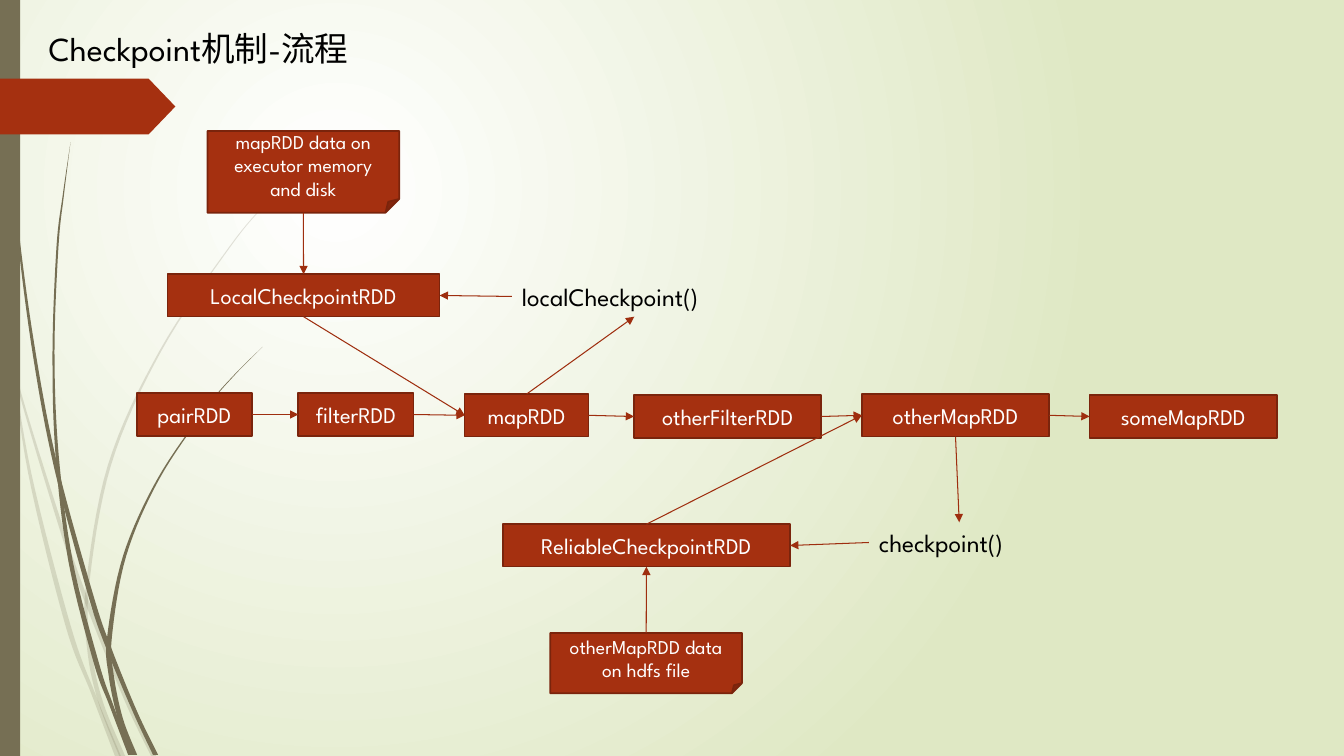
from dataclasses import dataclass

from lxml.etree import SubElement
from pptx import Presentation
from pptx.dml.color import RGBColor
from pptx.enum.shapes import MSO_CONNECTOR, MSO_SHAPE
from pptx.enum.text import MSO_ANCHOR, MSO_AUTO_SIZE, PP_ALIGN
from pptx.oxml.ns import qn
from pptx.util import Cm, Pt


@dataclass(frozen=True)
class Theme:
    font: str = "League Spartan"
    red: str = "A53010"
    edge: str = "7A240C"
    arrow: str = "9E2E0F"
    olive: str = "766F54"
    pale: str = "DFE8C4"
    white: str = "FFFFFF"
    black: str = "000000"
    title: int = 24
    label: int = 18
    box: int = 16
    note: int = 14


THEME = Theme()
TOP, LEFT, BOTTOM, RIGHT = range(4)
BOX_H = 1.07

# Each stem is a run of (x, y, width) points from tip to root, in cm.
FAINT = [
    [(0, 7.3, 0.08), (0.4, 9.5, 0.05), (1.52, 13.23, 0.1), (2.15, 15.06, 0.11),
     (3.17, 17.6, 0.11), (3.87, 19.05, 0.13)],
    [(0.28, 8.89, 0), (0.75, 11.93, 0.08), (1.71, 15.75, 0.13),
     (2.35, 17.48, 0.1), (2.97, 19.05, 0.15)],
    [(7.92, 3.9, 0), (6.81, 5.02, 0.02), (5.8, 6.21, 0.03), (4.04, 8.85, 0.05),
     (2.76, 11.72, 0.08), (2.2, 14.83, 0.08), (2.26, 16.41, 0.11),
     (2.54, 17.7, 0.12), (3.08, 19.05, 0.15)],
]
SOLID = [
    [(0.09, 0, 0.02), (0.19, 2.79, 0.03), (0.46, 5.92, 0.05), (0.88, 9.02, 0.08),
     (1.42, 11.81, 0.1), (2.29, 15.01, 0.13), (2.74, 16.33, 0.13),
     (3.4, 17.93, 0.11), (3.92, 19.02, 0.13)],
    [(1.78, 3.58, 0), (1.6, 4.9, 0.03), (1.45, 6.22, 0.05), (1.35, 8.86, 0.05),
     (1.44, 11.46, 0.08), (1.78, 14.14, 0.11), (2.43, 16.71, 0.13),
     (2.81, 17.78, 0.1), (3.28, 19.02, 0.1)],
    [(6.62, 8.74, 0), (5.87, 9.49, 0.02), (5.19, 10.3, 0.03), (3.99, 12.07, 0.05),
     (3.14, 14.01, 0.08), (2.76, 16.05, 0.12), (2.8, 17, 0.13),
     (3.03, 18.1, 0.13), (3.38, 19.02, 0.15)],
]

# name: left, top, width
BOXES = {
    "pairRDD": (3.45, 9.91, 2.9),
    "filterRDD": (7.52, 9.91, 2.9),
    "mapRDD": (11.71, 9.93, 3.12),
    "otherFilterRDD": (15.98, 9.96, 4.72),
    "otherMapRDD": (21.72, 9.93, 4.72),
    "someMapRDD": (27.46, 9.96, 4.72),
    "LocalCheckpointRDD": (4.22, 6.91, 6.86),
    "ReliableCheckpointRDD": (12.67, 13.21, 7.24),
}
NOTES = {
    "mapRDD data on executor memory and disk": (5.23, 3.3, 4.83, 2.06),
    "otherMapRDD data on hdfs file": (13.87, 15.95, 4.83, 1.52),
}
LABELS = {
    "localCheckpoint()": (12.9, 6.96, 6.17, 1.02),
    "checkpoint()": (21.9, 13.16, 4.55, 1.02),
}
CHAIN = list(BOXES)[:6]
LINKS = [(a, RIGHT, b, LEFT) for a, b in zip(CHAIN, CHAIN[1:])] + [
    ("mapRDD", TOP, "localCheckpoint()", BOTTOM),
    ("localCheckpoint()", LEFT, "LocalCheckpointRDD", RIGHT),
    ("LocalCheckpointRDD", BOTTOM, "mapRDD", LEFT),
    ("otherMapRDD", BOTTOM, "checkpoint()", TOP),
    ("checkpoint()", LEFT, "ReliableCheckpointRDD", RIGHT),
    ("ReliableCheckpointRDD", TOP, "otherMapRDD", LEFT),
    ("mapRDD data on executor memory and disk", BOTTOM, "LocalCheckpointRDD", TOP),
    ("otherMapRDD data on hdfs file", TOP, "ReliableCheckpointRDD", BOTTOM),
]


def color(code):
    return RGBColor.from_string(code)


def paint(shape, fill, line=None):
    shape.shadow.inherit = False
    shape.fill.solid()
    shape.fill.fore_color.rgb = color(fill)
    if line:
        shape.line.color.rgb = color(line)
        shape.line.width = Pt(1.25)
    else:
        shape.line.fill.background()


def write(frame, text, size, ink, align=PP_ALIGN.LEFT):
    para = frame.paragraphs[0]
    para.alignment = align
    run = para.add_run()
    run.text = text
    run.font.name = THEME.font
    run.font.size = Pt(size)
    run.font.color.rgb = color(ink)


def write_line(frame, text, size):
    """Write black text that stays on one line."""
    frame.word_wrap = False
    frame.auto_size = MSO_AUTO_SIZE.SHAPE_TO_FIT_TEXT
    frame.vertical_anchor = MSO_ANCHOR.TOP
    write(frame, text, size, THEME.black)


def add_block(slide, kind, place, line=None):
    shape = slide.shapes.add_shape(kind, *map(Cm, place))
    paint(shape, THEME.red, line)
    return shape


def add_box(slide, kind, place, text, size):
    shape = add_block(slide, kind, place, THEME.edge)
    frame = shape.text_frame
    frame.word_wrap = True
    frame.vertical_anchor = MSO_ANCHOR.MIDDLE
    write(frame, text, size, THEME.white, PP_ALIGN.CENTER)
    return shape


def add_label(slide, place, text):
    label = slide.shapes.add_textbox(*map(Cm, place))
    write_line(label.text_frame, text, THEME.label)
    return label


def add_arrow(slide, start, exit_side, end, entry_side):
    arrow = slide.shapes.add_connector(MSO_CONNECTOR.STRAIGHT, 0, 0, 0, 0)
    arrow.begin_connect(start, exit_side)
    arrow.end_connect(end, entry_side)
    arrow.line.color.rgb = color(THEME.arrow)
    arrow.line.width = Pt(0.75)
    props = arrow.element.spPr
    SubElement(props.find(qn("a:ln")), qn("a:tailEnd"), type="triangle")
    SubElement(props, qn("a:effectLst"))


def curve(knots, steps=8):
    """Return points on a Catmull-Rom curve through the knots."""
    ends = [knots[0], *knots, knots[-1]]
    points = []
    for group in zip(ends, ends[1:], ends[2:], ends[3:]):
        for step in range(steps):
            t = step / steps
            points.append([
                b + t * ((c - a) + t * ((2 * a - 5 * b + 4 * c - d)
                                        + t * (3 * b - a - 3 * c + d))) / 2
                for a, b, c, d in zip(*group)])
    return points + [knots[-1]]


def add_stem(slide, knots, alpha=None):
    points = curve(knots)
    edge = [(Cm(x - w / 2), Cm(y)) for x, y, w in points]
    edge += [(Cm(x + w / 2), Cm(y)) for x, y, w in reversed(points)]
    pen = slide.shapes.build_freeform(*edge[0])
    pen.add_line_segments(edge[1:], close=True)
    stem = pen.convert_to_shape()
    paint(stem, THEME.olive)
    if alpha:
        tone = stem.element.spPr.find(qn("a:solidFill"))[0]
        SubElement(tone, qn("a:alpha"), val=str(alpha * 1000))


def set_back(slide):
    """Fill the background with a round glow, upper left."""
    fill = slide.background.fill
    fill.gradient()
    for stop, code in zip(fill.gradient_stops, (THEME.white, THEME.pale)):
        stop.color.rgb = color(code)
    grad = slide.element.find(".//" + qn("a:gradFill"))
    grad.remove(grad.find(qn("a:lin")))
    glow = SubElement(grad, qn("a:path"), path="circle")
    SubElement(glow, qn("a:fillToRect"), l="50000", t="50000", r="100000", b="100000")


def add_decor(slide):
    for knots in FAINT:
        add_stem(slide, knots, 20)
    for knots in SOLID:
        add_stem(slide, knots)
    bar = add_block(slide, MSO_SHAPE.RECTANGLE, (0, 0, 0.51, 19.05))
    paint(bar, THEME.olive)
    tag = add_block(slide, MSO_SHAPE.PENTAGON, (0, 1.98, 4.42, 1.41))
    tag.adjustments[0] = 0.48


def set_title(slide, text):
    title = slide.shapes.title
    title.left, title.top, title.width, title.height = map(Cm, (0.97, 0.58, 9.09, 1.27))
    write_line(title.text_frame, text, THEME.title)


def main():
    deck = Presentation()
    deck.slide_width, deck.slide_height = Cm(33.87), Cm(19.05)
    slide = deck.slides.add_slide(deck.slide_layouts[5])
    set_back(slide)
    add_decor(slide)
    set_title(slide, "Checkpoint机制-流程")
    nodes = {}
    for name, place in BOXES.items():
        nodes[name] = add_box(slide, MSO_SHAPE.RECTANGLE, (*place, BOX_H), name, THEME.box)
    for text, place in NOTES.items():
        nodes[text] = add_box(slide, MSO_SHAPE.FOLDED_CORNER, place, text, THEME.note)
    for text, place in LABELS.items():
        nodes[text] = add_label(slide, place, text)
    for start, exit_side, end, entry_side in LINKS:
        add_arrow(slide, nodes[start], exit_side, nodes[end], entry_side)
    deck.save("out.pptx")


if __name__ == "__main__":
    main()
